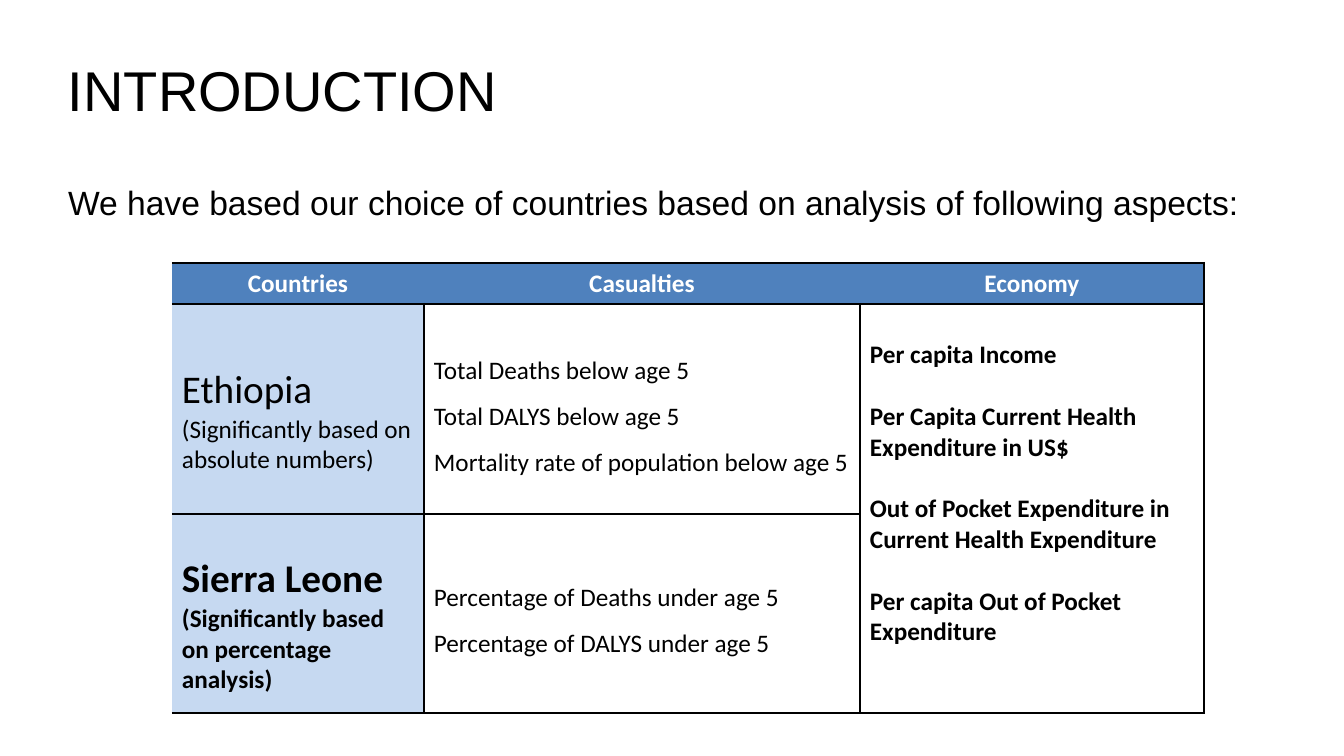
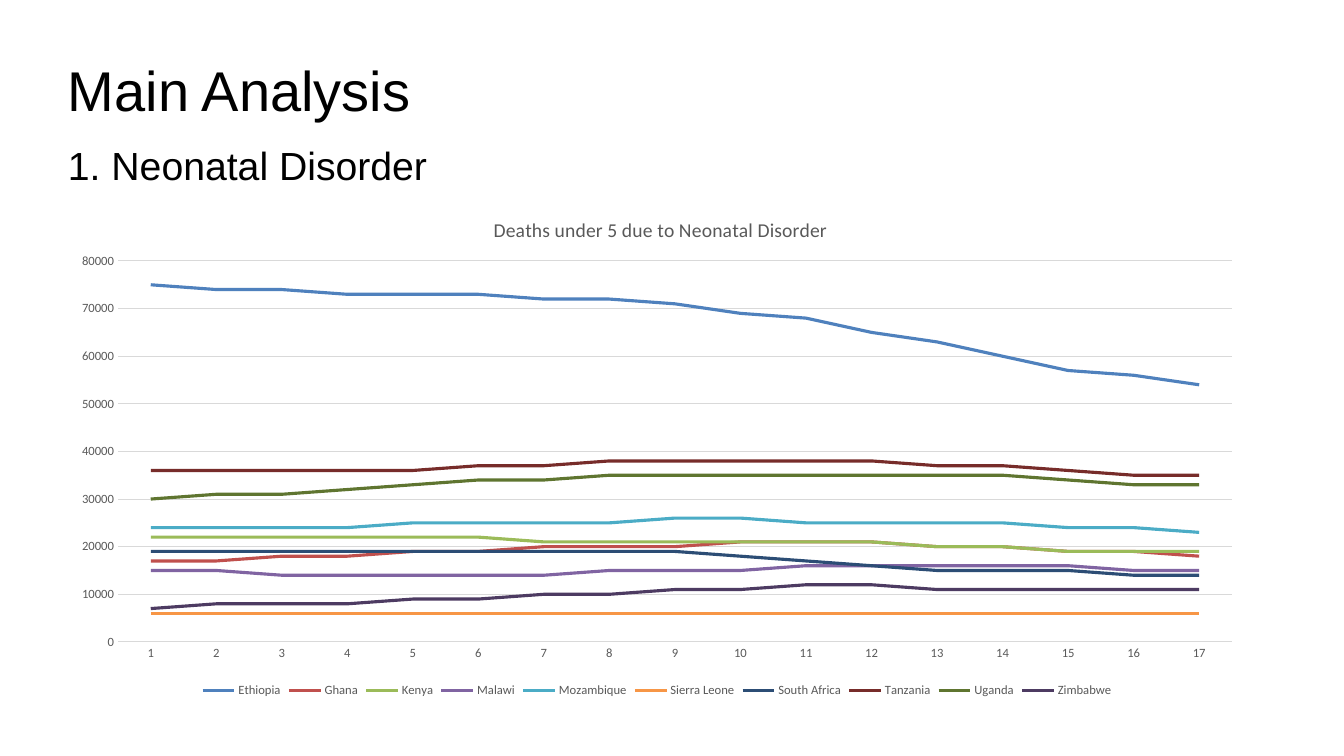
from dataclasses import dataclass

from lxml.etree import SubElement
from pptx import Presentation
from pptx.chart.data import CategoryChartData
from pptx.dml.color import RGBColor
from pptx.enum.chart import XL_CHART_TYPE as Kind, XL_LEGEND_POSITION as Place
from pptx.enum.chart import XL_TICK_MARK as Tick
from pptx.enum.text import MSO_ANCHOR as Anchor, PP_ALIGN as Align
from pptx.oxml.ns import qn
from pptx.util import Emu, Pt

WIDE, HIGH = 1344, 756
SCALE = 12192000 / WIDE

BLACK = RGBColor(0x00, 0x00, 0x00)
WHITE = RGBColor(0xFF, 0xFF, 0xFF)
GREY = RGBColor(0x59, 0x59, 0x59)
PALE = RGBColor(0xD9, 0xD9, 0xD9)
BLUE = RGBColor(0x4F, 0x81, 0xBD)
SKY = RGBColor(0xC6, 0xD9, 0xF1)
RED = RGBColor(0xC0, 0x50, 0x4D)
GREEN = RGBColor(0x9B, 0xBB, 0x59)
PURPLE = RGBColor(0x80, 0x64, 0xA2)
AQUA = RGBColor(0x4B, 0xAC, 0xC6)
ORANGE = RGBColor(0xF7, 0x96, 0x46)
NAVY = RGBColor(0x2C, 0x4D, 0x75)
MAROON = RGBColor(0x77, 0x2C, 0x2A)
OLIVE = RGBColor(0x5F, 0x75, 0x30)
PLUM = RGBColor(0x4D, 0x3B, 0x62)

HEAD, BODY = "Arial", "Calibri"


@dataclass(frozen=True)
class Box:
    left: int
    top: int
    width: int
    height: int

    def emu(self) -> list[Emu]:
        return [px(n) for n in (self.left, self.top, self.width, self.height)]


@dataclass(frozen=True)
class Para:
    text: str
    size: int = 18
    bold: bool = False
    color: RGBColor = BLACK
    font: str = BODY
    lead: float = 1.0
    gap: int = 0
    align: Align = Align.LEFT


@dataclass(frozen=True)
class Cell:
    paras: list[Para]
    fill: RGBColor = WHITE
    span: int = 1
    inset: int = 5
    anchor: Anchor = Anchor.MIDDLE


@dataclass(frozen=True)
class Series:
    name: str
    color: RGBColor
    values: list[int]  # thousands


TITLE = Box(58, 45, 960, 109)
LEDE = Box(58, 154, 1221, 490)
TABLE = Box(172, 263, 1032, 450)
CHART = Box(58, 192, 1198, 510)
PLOT = Box(118, 261, 1114, 381)
NAME = Box(490, 213, 333, 24)

COLS = [252, 436, 344]
ROWS = [41, 210, 199]
RULES = [2, 2, 1, 2]  # points, from the top edge down


def head(text: str) -> Cell:
    return Cell([Para(text, bold=True, color=WHITE, align=Align.CENTER)], BLUE)


def land(name: str, note: str, bold: bool = False) -> Cell:
    return Cell([Para(name, 28, bold, lead=1.5), Para(note, bold=bold)], SKY)


def facts(*lines: str) -> Cell:
    return Cell([Para(line, lead=1.5) for line in lines])


def wealth(*lines: str) -> Cell:
    paras = [Para(line, bold=True, gap=22 if i else 0)
             for i, line in enumerate(lines)]
    return Cell(paras, span=2, inset=36, anchor=Anchor.TOP)


GRID = [
    [head("Countries"), head("Casualties"), head("Economy")],
    [
        land("Ethiopia", "(Significantly based on absolute numbers)"),
        facts("Total Deaths below age 5", "Total DALYS below age 5",
              "Mortality rate of population below age 5"),
        wealth("Per capita Income",
               "Per Capita Current Health Expenditure in US$",
               "Out of Pocket Expenditure in Current Health Expenditure",
               "Per capita Out of Pocket Expenditure"),
    ],
    [
        land("Sierra Leone", "(Significantly based on percentage analysis)", True),
        facts("Percentage of Deaths under age 5",
              "Percentage of DALYS under age 5"),
    ],
]

DEATHS = [
    Series("Ethiopia", BLUE, [75, 74, 74, 73, 73, 73, 72, 72, 71, 69, 68, 65,
                              63, 60, 57, 56, 54]),
    Series("Ghana", RED, [17, 17, 18, 18, 19, 19, 20, 20, 20, 21, 21, 21,
                          20, 20, 19, 19, 18]),
    Series("Kenya", GREEN, [22, 22, 22, 22, 22, 22, 21, 21, 21, 21, 21, 21,
                            20, 20, 19, 19, 19]),
    Series("Malawi", PURPLE, [15, 15, 14, 14, 14, 14, 14, 15, 15, 15, 16, 16,
                              16, 16, 16, 15, 15]),
    Series("Mozambique", AQUA, [24, 24, 24, 24, 25, 25, 25, 25, 26, 26, 25, 25,
                                25, 25, 24, 24, 23]),
    Series("Sierra Leone", ORANGE, [6] * 17),
    Series("South Africa", NAVY, [19, 19, 19, 19, 19, 19, 19, 19, 19, 18, 17, 16,
                                  15, 15, 15, 14, 14]),
    Series("Tanzania", MAROON, [36, 36, 36, 36, 36, 37, 37, 38, 38, 38, 38, 38,
                                37, 37, 36, 35, 35]),
    Series("Uganda", OLIVE, [30, 31, 31, 32, 33, 34, 34, 35, 35, 35, 35, 35,
                             35, 35, 34, 33, 33]),
    Series("Zimbabwe", PLUM, [7, 8, 8, 8, 9, 9, 10, 10, 11, 11, 12, 12,
                              11, 11, 11, 11, 11]),
]


def px(n: int) -> Emu:
    return Emu(round(n * SCALE))


def style(font, size: int, color: RGBColor, name: str = BODY,
          bold: bool = False) -> None:
    font.size, font.name, font.bold = Pt(size), name, bold
    font.color.rgb = color


def write(frame, paras: list[Para]) -> None:
    frame.word_wrap = True
    for i, para in enumerate(paras):
        line = frame.add_paragraph() if i else frame.paragraphs[0]
        line.alignment, line.line_spacing = para.align, para.lead
        if para.gap:
            line.space_before = Pt(para.gap)
        run = line.add_run()
        run.text = para.text
        style(run.font, para.size, para.color, para.font, para.bold)


def add_text(slide, box: Box, paras: list[Para], inset: int) -> None:
    frame = slide.shapes.add_textbox(*box.emu()).text_frame
    frame.margin_left = frame.margin_right = px(10)
    frame.margin_top, frame.margin_bottom = px(inset), px(5)
    frame.vertical_anchor = Anchor.TOP
    write(frame, paras)


def add_title(slide, text: str, topic: str = "") -> None:
    paras = [Para(text, 40, font=HEAD)]
    if topic:
        paras.append(Para(topic, 28, font=HEAD, gap=13))
    add_text(slide, TITLE, paras, 11)


def edge(cell, row: int, col: int, span: int, joined: bool) -> None:
    """Draw the four borders of a cell; zero width means none."""
    widths = {
        "a:lnL": int(row > 0 and col > 0),
        "a:lnR": int(row > 0 or col == len(COLS) - 1),
        "a:lnT": 0 if joined else RULES[row],
        "a:lnB": RULES[row + span],
    }
    props = cell._tc.get_or_add_tcPr()
    for tag, width in widths.items():
        line = SubElement(props, qn(tag), w=str(Pt(width)))
        if width:
            fill = SubElement(line, qn("a:solidFill"))
            SubElement(fill, qn("a:srgbClr"), val=str(BLACK))
        else:
            SubElement(line, qn("a:noFill"))


def add_grid(slide) -> None:
    table = slide.shapes.add_table(len(ROWS), len(COLS), *TABLE.emu()).table
    table.first_row = table.horz_banding = False
    for col, width in zip(table.columns, COLS):
        col.width = px(width)
    for row, height in zip(table.rows, ROWS):
        row.height = px(height)
    for r in range(len(ROWS)):
        for c in range(len(COLS)):
            cell = table.cell(r, c)
            joined = c >= len(GRID[r])
            item = Cell([]) if joined else GRID[r][c]
            edge(cell, r, c, item.span, joined)
            cell.fill.solid()
            cell.fill.fore_color.rgb = item.fill
            cell.margin_left = cell.margin_right = px(10)
            cell.margin_top, cell.margin_bottom = px(item.inset), px(5)
            cell.vertical_anchor = item.anchor
            if item.span > 1:
                cell.merge(table.cell(r + item.span - 1, c))
            write(cell.text_frame, item.paras)


def place(parent, index: int, box: Box, sized: bool) -> None:
    """Fix a chart part at a box given in slide px."""
    for old in parent.findall(qn("c:layout")):
        parent.remove(old)
    layout = SubElement(parent, qn("c:layout"))
    parent.insert(index, layout)
    manual = SubElement(layout, qn("c:manualLayout"))
    parts = {"xMode": "edge", "yMode": "edge",
             "x": (box.left - CHART.left) / CHART.width,
             "y": (box.top - CHART.top) / CHART.height}
    if sized:
        parts = {"layoutTarget": "inner"} | parts
        parts |= {"w": box.width / CHART.width, "h": box.height / CHART.height}
    for tag, val in parts.items():
        SubElement(manual, qn(f"c:{tag}"), val=str(val))


def rule(line) -> None:
    line.color.rgb, line.width = PALE, Pt(0.75)


def add_lines(slide) -> None:
    data = CategoryChartData()
    data.categories = [str(n) for n in range(1, 18)]
    for item in DEATHS:
        data.add_series(item.name, [n * 1000 for n in item.values])
    chart = slide.shapes.add_chart(Kind.LINE, *CHART.emu(), data).chart
    style(chart.font, 10, BLACK)

    chart.has_title = True
    write(chart.chart_title.text_frame,
          [Para("Deaths under 5 due to Neonatal Disorder", 14, color=GREY,
                align=Align.CENTER)])
    chart.chart_title.include_in_layout = False
    place(chart.chart_title._element, 1, NAME, False)
    place(chart._chartSpace.chart.plotArea, 0, PLOT, True)

    chart.has_legend = True
    chart.legend.position = Place.BOTTOM
    chart.legend.include_in_layout = False
    style(chart.legend.font, 9, GREY)

    cats, vals = chart.category_axis, chart.value_axis
    for axis in (cats, vals):
        axis.major_tick_mark = axis.minor_tick_mark = Tick.NONE
        style(axis.tick_labels.font, 9, GREY)
    rule(cats.format.line)
    vals.format.line.fill.background()
    vals.has_major_gridlines = True
    rule(vals.major_gridlines.format.line)
    vals.minimum_scale, vals.maximum_scale, vals.major_unit = 0, 80000, 10000

    chart.plots[0].vary_by_categories = False
    for series, item in zip(chart.plots[0].series, DEATHS):
        series.smooth = False
        series.format.line.color.rgb = item.color
        series.format.line.width = Pt(2.25)


def main() -> None:
    deck = Presentation()
    deck.slide_width, deck.slide_height = px(WIDE), px(HIGH)
    blank = deck.slide_layouts[6]

    intro = deck.slides.add_slide(blank)
    add_title(intro, "INTRODUCTION")
    add_text(intro, LEDE, [Para(
        "We have based our choice of countries based on analysis of "
        "following aspects:", 24, font=HEAD, lead=1.5)], 8)
    add_grid(intro)

    study = deck.slides.add_slide(blank)
    add_title(study, "Main Analysis", "1. Neonatal Disorder")
    add_lines(study)

    deck.save("out.pptx")


if __name__ == "__main__":
    main()
